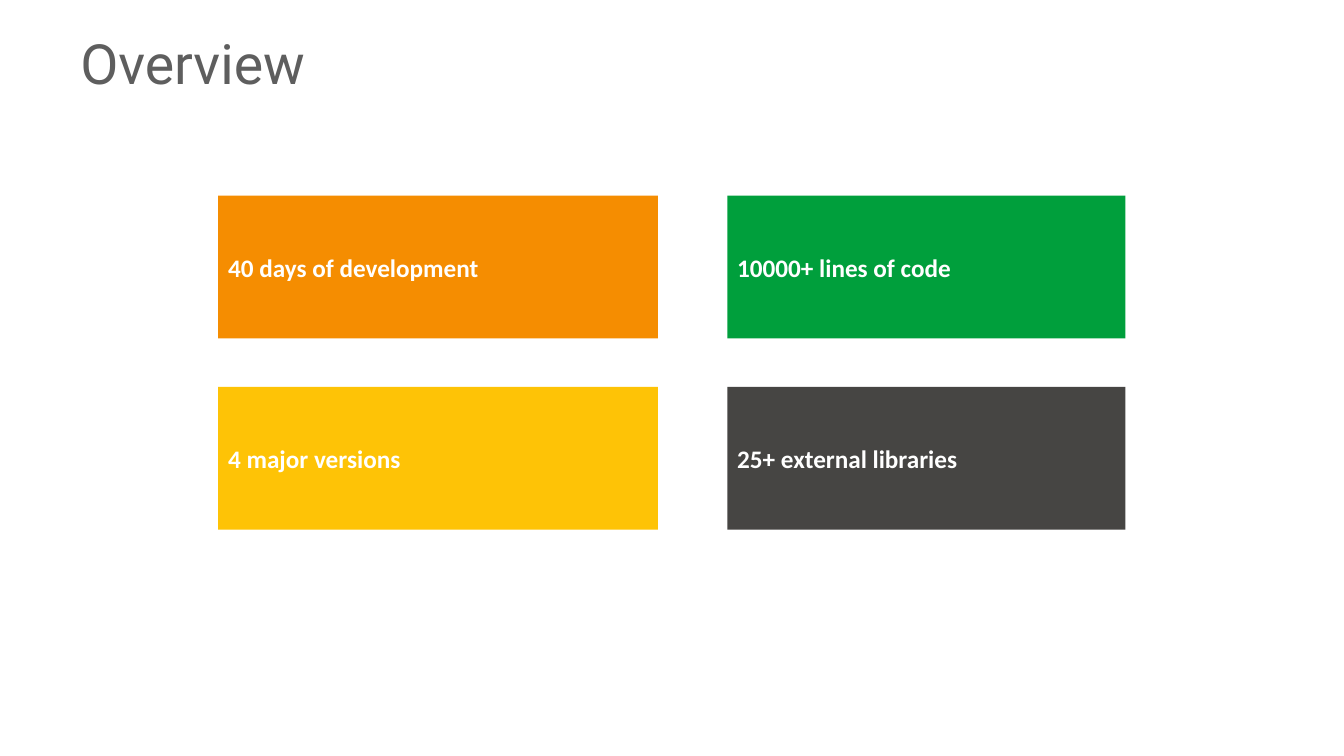
from pptx import Presentation
from pptx.dml.color import RGBColor
from pptx.enum.shapes import MSO_SHAPE
from pptx.enum.text import MSO_ANCHOR, MSO_AUTO_SIZE, PP_ALIGN
from pptx.util import Cm, Pt

HEAD = {"name": "Roboto", "size": Pt(39.6), "bold": False}
LABEL = {"name": "Calibri", "size": Pt(18), "bold": True}

COLS = [(5.5, 11.08), (18.33, 10.03)]  # left, width
TOP, HIGH, STEP = 4.93, 3.6, 4.82

FACTS = [
    ("40 days of development", "F58D01"),
    ("10000+ lines of code", "009F3C"),
    ("4 major versions", "FEC306"),
    ("25+ external libraries", "464543"),
]


def paint(target, tone):
    target.rgb = RGBColor.from_string(tone)


def write(shape, text, style, tone):
    """Put one left-aligned, vertically centred line into a shape."""
    frame = shape.text_frame
    frame.text = text
    frame.word_wrap = True
    frame.auto_size = MSO_AUTO_SIZE.NONE
    frame.vertical_anchor = MSO_ANCHOR.MIDDLE
    line = frame.paragraphs[0]
    line.alignment = PP_ALIGN.LEFT
    font = line.runs[0].font
    for key, value in style.items():
        setattr(font, key, value)
    paint(font.color, tone)
    return line


def add_title(slide, text):
    title = slide.shapes.title
    title.left, title.top = Cm(1.77), Cm(0.76)
    title.width, title.height = Cm(30.3), Cm(1.85)
    write(title, text, HEAD, "5E5E5E").line_spacing = 0.9


def add_tile(group, box, text, tone):
    tile = group.shapes.add_shape(MSO_SHAPE.RECTANGLE, *map(Cm, box))
    tile.shadow.inherit = False
    tile.fill.solid()
    paint(tile.fill.fore_color, tone)
    tile.line.fill.background()
    write(tile, text, LABEL, "FFFFFF")


def main():
    deck = Presentation()
    deck.slide_width, deck.slide_height = Cm(33.87), Cm(19.05)
    slide = deck.slides.add_slide(deck.slide_layouts[5])
    add_title(slide, "Overview")
    group = slide.shapes.add_group_shape()
    for i, (text, tone) in enumerate(FACTS):
        row, col = divmod(i, len(COLS))
        left, width = COLS[col]
        add_tile(group, (left, TOP + row * STEP, width, HIGH), text, tone)
    deck.save("out.pptx")


if __name__ == "__main__":
    main()
